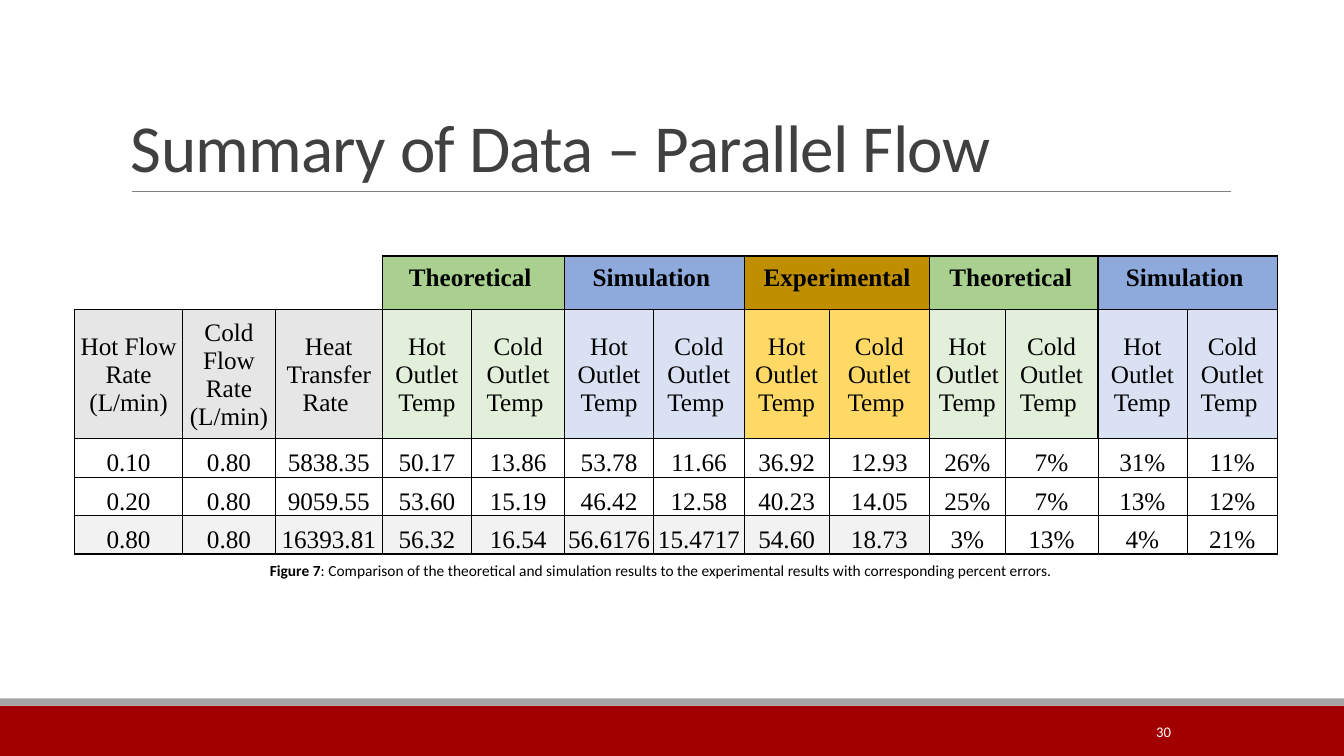
from dataclasses import dataclass
from lxml.etree import SubElement as Sub
from pptx import Presentation as Deck
from pptx.dml.color import RGBColor as Color
from pptx.enum.shapes import MSO_CONNECTOR as Link, MSO_SHAPE as Form
from pptx.enum.text import MSO_ANCHOR as Anchor, PP_ALIGN as Align
from pptx.oxml.ns import qn
from pptx.util import Cm, Pt


@dataclass(frozen=True)
class Theme:
    sans: str = "Calibri"
    serif: str = "Times New Roman"
    big: float = 48
    grid: float = 18
    small: float = 11
    page: float = 10.5
    black: str = "000000"
    white: str = "FFFFFF"
    title: str = "404040"
    rule: str = "808080"
    red: str = "A20000"
    strip: str = "A5A5A5"
    plain: str = "E7E6E6"
    last: str = "F2F2F2"
    # Dark and light tint of each column group
    green: tuple = ("A9D08E", "E2EFDA")
    blue: tuple = ("8EA9DB", "D9E1F2")
    gold: tuple = ("BF8F00", "FFD966")


def write(frame, *runs, font, size, color, bold=(), align=Align.LEFT,
          anchor=Anchor.TOP, space=None, track=None):
    """Fill a text frame with one paragraph; bold lists the bold run numbers."""
    frame.word_wrap = True
    frame.vertical_anchor = anchor
    para = frame.paragraphs[0]
    para.alignment = align
    if space:
        para.line_spacing = space
    for i, words in enumerate(runs):
        run = para.add_run()
        run.text = words
        run.font.name, run.font.size = font, Pt(size)
        run.font.bold = i in bold
        run.font.color.rgb = Color.from_string(color)
        if track:
            run.font._element.set("spc", str(track))


class Page:
    def __init__(self, slide, theme):
        self.slide, self.theme = slide, theme

    def bar(self, x, y, w, h, color):
        shape = self.slide.shapes.add_shape(Form.RECTANGLE, Cm(x), Cm(y), Cm(w), Cm(h))
        shape.shadow.inherit = False
        shape.fill.solid()
        shape.fill.fore_color.rgb = Color.from_string(color)
        shape.line.fill.background()

    def rule(self, x, y, end, color):
        line = self.slide.shapes.add_connector(Link.STRAIGHT, Cm(x), Cm(y), Cm(end), Cm(y))
        line.line.width = Pt(0.5)
        line.line.color.rgb = Color.from_string(color)
        Sub(line._element.spPr, qn("a:effectLst"))

    def text(self, x, y, w, h, *runs, **style):
        box = self.slide.shapes.add_textbox(Cm(x), Cm(y), Cm(w), Cm(h))
        write(box.text_frame, *runs, font=self.theme.sans, **style)

    def table(self, x, y, cols, rows):
        frame = self.slide.shapes.add_table(
            len(rows), len(cols), Cm(x), Cm(y), Cm(sum(cols)), Cm(sum(rows)))
        table = frame.table
        table.first_row = table.horz_banding = False
        for col, width in zip(table.columns, cols):
            col.width = Cm(width)
        for row, height in zip(table.rows, rows):
            row.height = Cm(height)
        return table

    def edges(self, cell, **widths):
        props = cell._tc.get_or_add_tcPr()
        for side in "LRTB":
            width = widths.get(side, 0)
            line = Sub(props, qn(f"a:ln{side}"), w=str(Pt(width)))
            if width:
                fill = Sub(line, qn("a:solidFill"))
                Sub(fill, qn("a:srgbClr"), val=self.theme.black)
            else:
                Sub(line, qn("a:noFill"))

    def cell(self, cell, words, fill, pad, anchor, bold=()):
        cell.margin_left = cell.margin_right = Cm(pad[0])
        cell.margin_top, cell.margin_bottom = Cm(pad[1]), Cm(pad[2])
        if fill:
            cell.fill.solid()
            cell.fill.fore_color.rgb = Color.from_string(fill)
        else:
            cell.fill.background()
        if words:
            write(cell.text_frame, words, font=self.theme.serif, size=self.theme.grid,
                  color=self.theme.black, bold=bold, align=Align.CENTER)
        cell.vertical_anchor = anchor


COLS = [2.72, 2.34, 2.69, 2.26, 2.34, 2.24, 2.29, 2.13, 2.54, 1.9, 2.34, 2.24, 2.29]
ROWS = [1.35, 3.25, 0.97, 0.97, 0.97]
RATES = ["Hot Flow Rate (L/min)", "Cold Flow Rate (L/min)", "Heat Transfer Rate "]
TEMPS = ["Hot Outlet Temp", "Cold Outlet Temp "]
DATA = [
    "0.10 0.80 5838.35 50.17 13.86 53.78 11.66 36.92 12.93 26% 7% 31% 11%",
    "0.20 0.80 9059.55 53.60 15.19 46.42 12.58 40.23 14.05 25% 7% 13% 12%",
    "0.80 0.80 16393.81 56.32 16.54 56.6176 15.4717 54.60 18.73 3% 13% 4% 21%",
]


def results(page):
    theme = page.theme
    groups = [("Theoretical ", theme.green), ("Simulation ", theme.blue),
              ("Experimental", theme.gold), ("Theoretical ", theme.green),
              ("Simulation ", theme.blue)]
    table = page.table(1.88, 6.45, COLS, ROWS)
    lead, last = len(RATES), len(ROWS) - 1
    wide, tight = (0.41, 0.2, 0.2), (0.03, 0.03, 0)

    # Borders: heavy around groups, thin inside them
    for r in range(len(ROWS)):
        starts = {0, 3, 5, 7, 9, 13} | ({11} if r < 2 else set())
        for c in range(len(COLS)):
            cell = table.cell(r, c)
            if r == 0 and c < lead:
                page.edges(cell, B=1, R=1 if c == lead - 1 else 0)
                page.cell(cell, "", None, tight, Anchor.TOP)
            else:
                page.edges(cell, L=1 if c in starts else 0.5,
                           R=1 if c + 1 in starts else 0.5,
                           T=1 if r <= 2 else 0.5,
                           B=1 if r in (0, 1, last) else 0.5)

    # Group names above their pairs of columns
    for i, (name, tints) in enumerate(groups):
        c = lead + 2 * i
        head = table.cell(0, c)
        head.merge(table.cell(0, c + 1))
        page.cell(head, name, tints[0], wide, Anchor.TOP, bold=(0,))

    # Column heads
    tints = [theme.plain] * lead + [t[1] for _, t in groups for _ in TEMPS]
    for c, (name, tint) in enumerate(zip(RATES + TEMPS * len(groups), tints)):
        page.cell(table.cell(1, c), name, tint, tight, Anchor.MIDDLE)

    # Values; the last row is shaded up to the percent errors
    for r, line in enumerate(DATA, 2):
        for c, value in enumerate(line.split()):
            fill = theme.last if r == last and c < 9 else None
            page.cell(table.cell(r, c), value, fill, tight, Anchor.BOTTOM)


def main():
    deck = Deck()
    deck.slide_width, deck.slide_height = Cm(33.87), Cm(19.05)
    theme = Theme()
    page = Page(deck.slides.add_slide(deck.slide_layouts[6]), theme)

    # Footer bars and title rule
    page.bar(0, 17.78, 33.87, 1.27, theme.red)
    page.bar(0, 17.6, 33.87, 0.18, theme.strip)
    page.rule(3.33, 4.83, 31.01, theme.rule)

    # Title and page number
    page.text(3.05, 0.79, 27.94, 4.04, "Summary of Data – Parallel Flow",
              size=theme.big, color=theme.title, anchor=Anchor.BOTTOM,
              space=0.85, track=-50)
    page.text(27.51, 17.93, 3.63, 1.02, "30", size=theme.page, color=theme.white,
              align=Align.CENTER, anchor=Anchor.MIDDLE)

    # Table and caption
    results(page)
    page.text(6.55, 14.02, 20.75, 0.74, "Figure 7",
              ": Comparison of the theoretical and simulation results to the "
              "experimental results with corresponding percent errors.",
              size=theme.small, color=theme.black, bold=(0,))
    deck.save("out.pptx")


if __name__ == "__main__":
    main()
